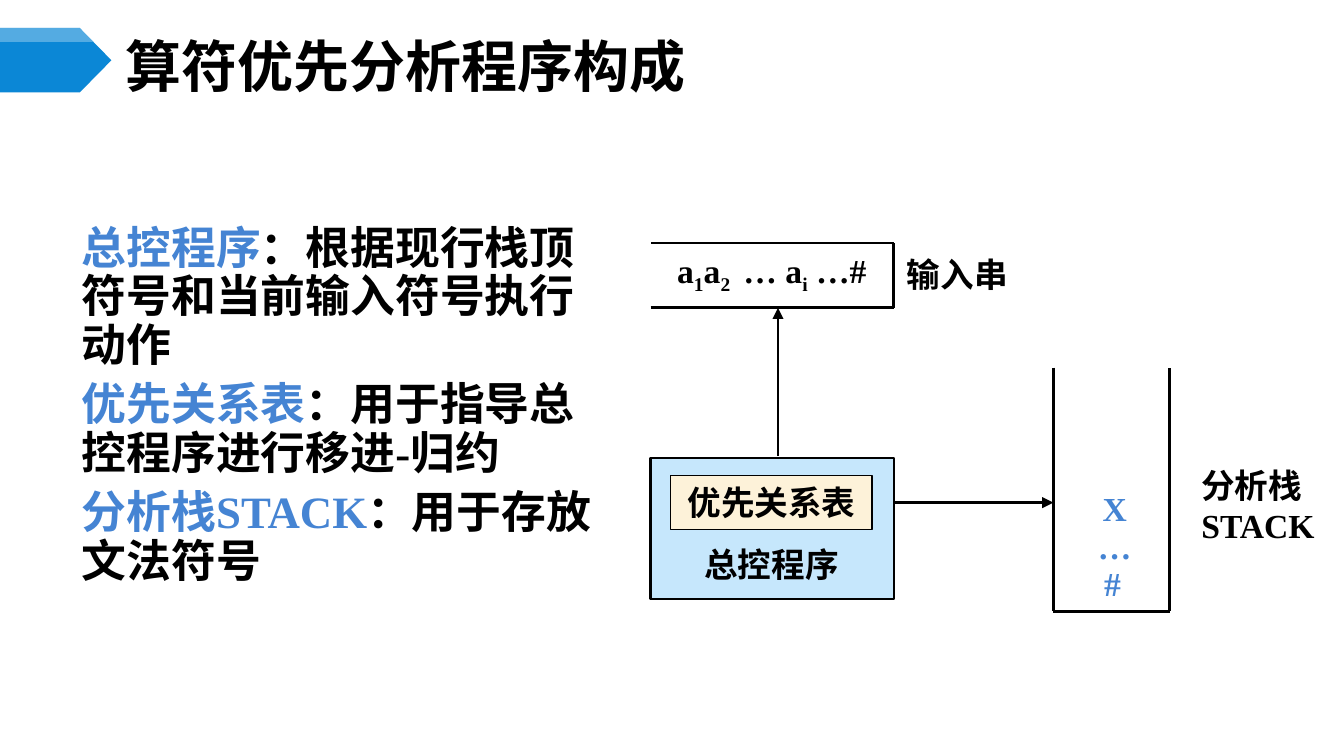
from pptx import Presentation
from pptx.dml.color import RGBColor
from pptx.enum.shapes import MSO_CONNECTOR, MSO_SHAPE
from pptx.enum.text import MSO_ANCHOR as ANCHOR, PP_ALIGN as ALIGN
from pptx.oxml.ns import qn
from pptx.util import Pt
from lxml.etree import SubElement

BLACK = RGBColor(0x00, 0x00, 0x00)
WHITE = RGBColor(0xFF, 0xFF, 0xFF)
BLUE = RGBColor(0x45, 0x84, 0xD3)
BANNER = RGBColor(0x0B, 0x87, 0xD6)
PALE_BLUE = RGBColor(0xC6, 0xE7, 0xFC)
CREAM = RGBColor(0xFD, 0xF2, 0xD9)
SERIF, SANS, CJK = "Times New Roman", "Lato", "Noto Sans CJK SC"

prs = Presentation()
prs.slide_width, prs.slide_height = Pt(720), Pt(405)
slide = prs.slides.add_slide(prs.slide_layouts[6])
shapes = slide.shapes


def write(box, paragraphs, size=18, font=SERIF, color=BLACK, align=ALIGN.LEFT):
    """Fill a box; each paragraph is a list of (text, color, baseline) runs."""
    frame = box.text_frame
    frame.word_wrap = True
    frame.vertical_anchor = ANCHOR.TOP
    for i, runs in enumerate(paragraphs):
        para = frame.paragraphs[0] if i == 0 else frame.add_paragraph()
        para.alignment = align
        para.font.size, para.font.name, para.font.bold = Pt(size), font, True
        for text, run_color, baseline in runs:
            run = para.add_run()
            run.text = text
            run.font.size, run.font.name, run.font.bold = Pt(size), font, True
            run.font.color.rgb = run_color or color
            props = run.font._element
            SubElement(props, qn("a:ea")).set("typeface", CJK)
            if baseline:
                props.set("baseline", str(baseline))
    return frame


def line(x1, y1, x2, y2, arrow=False):
    link = shapes.add_connector(MSO_CONNECTOR.STRAIGHT, Pt(x1), Pt(y1), Pt(x2), Pt(y2))
    link.line.color.rgb = BLACK
    link.line.width = Pt(1.5)
    if arrow:
        SubElement(link.line._get_or_add_ln(), qn("a:tailEnd")).set("type", "triangle")
    SubElement(link._element.spPr, qn("a:effectLst"))


# Title banner: arrow with a lighter strip along its top
banner_parts = [
    ([(0, 15), (42.8, 15), (59.7, 32.3), (42.8, 49.5), (0, 49.5)], BANNER),
    ([(0, 15), (56, 15), (59.7, 18.7), (56, 22.4), (0, 22.4)], WHITE),
]
banner_parts[1] = ([(0, 15), (42.8, 15), (50, 22.4), (0, 22.4)], WHITE)
for points, color in banner_parts:
    outline = shapes.build_freeform(Pt(points[0][0]), Pt(points[0][1]))
    outline.add_line_segments([(Pt(x), Pt(y)) for x, y in points[1:]], close=True)
    part = outline.convert_to_shape()
    part.fill.solid()
    part.fill.fore_color.rgb = color
    part.line.fill.background()
    part.shadow.inherit = False
    if color == WHITE:
        tint = part._element.spPr.find(".//" + qn("a:srgbClr"))
        SubElement(tint, qn("a:alpha")).set("val", "30000")

# Title
title = shapes.add_textbox(Pt(60), Pt(20.9), Pt(624), Pt(28))
write(title, [[("算符优先分析程序构成", None, 0)]], 30, CJK).vertical_anchor = ANCHOR.MIDDLE

# Descriptions of the three components
components = [
    ("总控程序", "：根据现行栈顶符号和当前输入符号执行动作"),
    ("优先关系表", "：用于指导总控程序进行移进-归约"),
    ("分析栈STACK", "：用于存放文法符号"),
]
description = shapes.add_textbox(Pt(36.7), Pt(117.4), Pt(294.5), Pt(255.6))
body = write(description, [[(name, BLUE, 0), (role, None, 0)] for name, role in components], 24)
for i, para in enumerate(body.paragraphs):
    para.line_spacing = 0.9
    para.space_before = Pt(6 if i else 0)

# Control program with the precedence table inside it
for x, y, w, h, fill, border in [(348.5, 245.5, 130.3, 75.3, PALE_BLUE, 1.25),
                                 (359.3, 254.9, 108, 28.8, CREAM, 0.75)]:
    block = shapes.add_shape(MSO_SHAPE.RECTANGLE, Pt(x), Pt(y), Pt(w), Pt(h))
    block.fill.solid()
    block.fill.fore_color.rgb = fill
    block.line.color.rgb = BLACK
    block.line.width = Pt(border)
    block.shadow.inherit = False
write(block, [[("优先关系表", None, 0)]], font=SANS, align=ALIGN.CENTER)

# Open-ended outlines: input tape, then stack
tape = [(348.5, 164.9), (478.8, 164.9), (478.8, 130.2), (348.5, 130.2)]
stack = [(564.3, 196.9), (564.3, 327.5), (626.6, 327.5), (626.6, 196.9)]
for corners in (tape, stack):
    for start, end in zip(corners, corners[1:]):
        line(*start, *end)

# Arrows from the control program to the tape and to the stack
line(416.8, 244.4, 416.8, 164.9, arrow=True)
line(478.8, 269.3, 564.3, 269.3, arrow=True)

# Labels
labels = [
    (359.3, 288, 108, ["总控程序"], SANS, BLACK, ALIGN.CENTER),
    (478.8, 132.5, 82, ["输入串"], SERIF, BLACK, ALIGN.LEFT),
    (636.5, 245.5, 82, ["分析栈", "STACK"], SERIF, BLACK, ALIGN.LEFT),
    (574.5, 257.8, 45.4, ["X"], SERIF, BLUE, ALIGN.CENTER),
    (574.5, 278, 45.4, ["…"], SERIF, BLUE, ALIGN.CENTER),
    (584.5, 298.2, 28, ["#"], SERIF, BLUE, ALIGN.LEFT),
]
for x, y, w, texts, font, color, align in labels:
    label = shapes.add_textbox(Pt(x), Pt(y), Pt(w), Pt(28.8 if len(texts) == 1 else 50.4))
    write(label, [[(text, None, 0)] for text in texts], 18, font, color, align)

# Input symbols with subscripts
SUB = -25000
symbols = shapes.add_textbox(Pt(355.7), Pt(130.3), Pt(122.4), Pt(31.7))
write(symbols, [[("a", None, 0), ("1", None, SUB), ("a", None, 0), ("2 ", None, SUB),
                 (" … a", None, 0), ("i", None, SUB), (" …#", None, 0)]])

prs.save("out.pptx")
